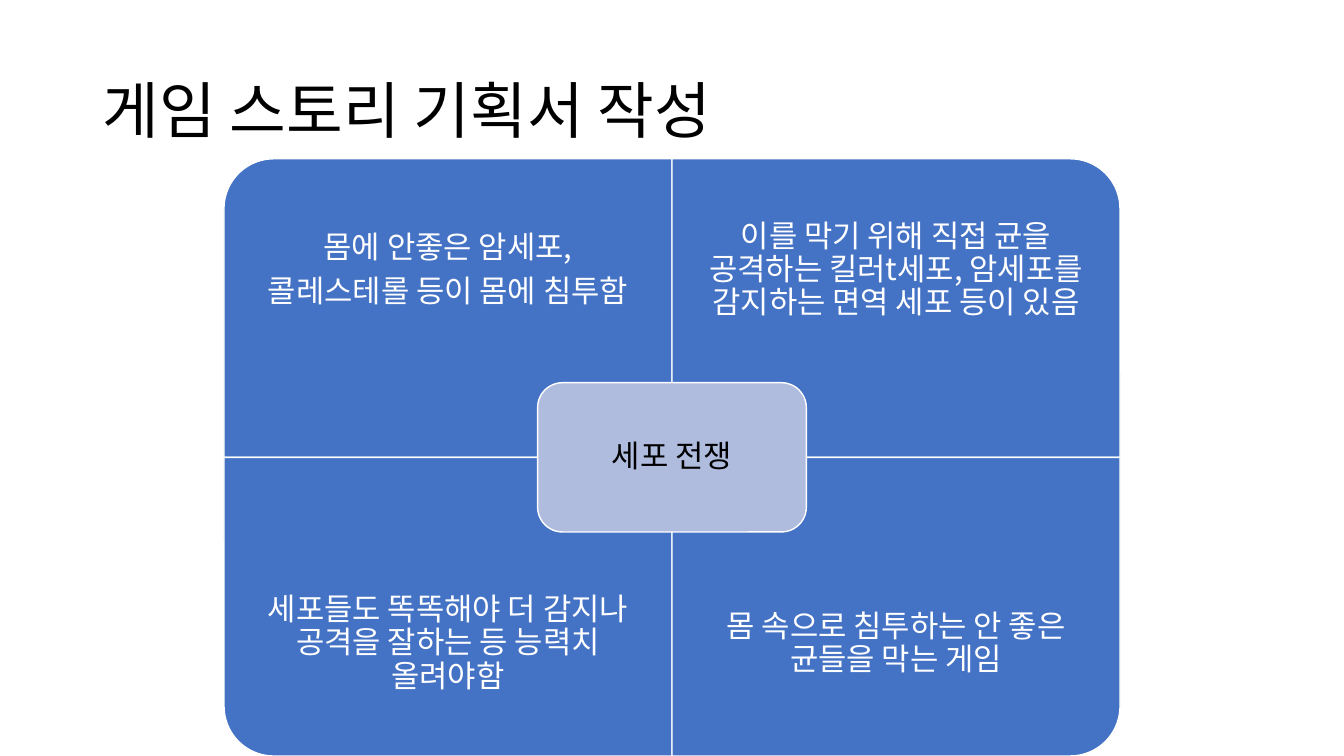
"""Builds the game story slide: a title above a four-part matrix with a central theme."""
from lxml import etree
from pptx import Presentation
from pptx.dml.color import RGBColor
from pptx.enum.shapes import MSO_SHAPE
from pptx.enum.text import MSO_ANCHOR, MSO_AUTO_SIZE, PP_ALIGN
from pptx.oxml.ns import qn
from pptx.util import Inches, Pt

QUADRANT = MSO_SHAPE.ROUND_1_RECTANGLE
CENTRE = MSO_SHAPE.ROUNDED_RECTANGLE
MIDDLE = MSO_ANCHOR.MIDDLE
NO_AUTOFIT = MSO_AUTO_SIZE.NONE
LEFT, CENTRED = PP_ALIGN.LEFT, PP_ALIGN.CENTER
FONT = "Noto Sans CJK KR"
BLUE, LAVENDER, WHITE, BLACK = "4472C4", "B0BCDE", "FFFFFF", "000000"


def write(frame, lines, size, colour, alignment, inset, space_after):
    frame.word_wrap = True
    frame.auto_size = NO_AUTOFIT
    frame.vertical_anchor = MIDDLE
    frame.margin_left = frame.margin_right = Inches(inset)
    frame.margin_top = frame.margin_bottom = Inches(inset)
    for index, line in enumerate(lines):
        paragraph = frame.add_paragraph() if index else frame.paragraphs[0]
        paragraph.alignment = alignment
        paragraph.line_spacing = 0.9
        paragraph.space_after = Pt(space_after)
        run = paragraph.add_run()
        run.text = line
        run.font.size = Pt(size)
        run.font.color.rgb = RGBColor.from_string(colour)
        run.font.name = FONT
        properties = run.font._element
        etree.SubElement(properties, qn("a:ea")).set("typeface", FONT)


def add_block(kind, left, top, width, height, colour):
    shape = slide.shapes.add_shape(kind, int(left), int(top), int(width), int(height))
    shape.shadow.inherit = False
    shape.fill.solid()
    shape.fill.fore_color.rgb = RGBColor.from_string(colour)
    shape.line.color.rgb = RGBColor.from_string(WHITE)
    shape.line.width = Pt(1)
    return shape


presentation = Presentation()
presentation.slide_width = Inches(13.333)
presentation.slide_height = Inches(7.5)
slide = presentation.slides.add_slide(presentation.slide_layouts[5])

title = slide.shapes.title
title.left, title.top = Inches(0.92), Inches(0.4)
title.width, title.height = Inches(11.5), Inches(1.45)
write(title.text_frame, ["게임 스토리 기획서 작성"], 44, BLACK, LEFT, 0.1, 0)

matrix_left = presentation.slide_width / 6
matrix_top = presentation.slide_height * 0.21
column = presentation.slide_width / 3
row = (presentation.slide_height - matrix_top) / 2
text_height = row * 0.75

quadrants = [
    (0, 0, 270, ["몸에 안좋은 암세포,", "콜레스테롤 등이 몸에 침투함"]),
    (1, 0, 0, ["이를 막기 위해 직접 균을 공격하는 킬러t세포, 암세포를 감지하는 면역 세포 등이 있음"]),
    (0, 1, 180, ["세포들도 똑똑해야 더 감지나 공격을 잘하는 등 능력치 올려야함"]),
    (1, 1, 90, ["몸 속으로 침투하는 안 좋은 균들을 막는 게임"]),
]
for column_index, row_index, rotation, lines in quadrants:
    left = matrix_left + column_index * column
    top = matrix_top + row_index * row
    width, height = (row, column) if rotation % 180 else (column, row)
    quadrant = add_block(QUADRANT, left + (column - width) / 2,
                         top + (row - height) / 2, width, height, BLUE)
    quadrant.rotation = rotation
    text_top = top + row_index * (row - text_height)
    label = slide.shapes.add_textbox(int(left), int(text_top), int(column), int(text_height))
    write(label.text_frame, lines, 22, WHITE, CENTRED, 0.17, 7.7)

theme_width, theme_height = column * 0.6, row / 2
theme = add_block(CENTRE, matrix_left + column - theme_width / 2,
                  matrix_top + row - theme_height / 2, theme_width, theme_height, LAVENDER)
write(theme.text_frame, ["세포 전쟁"], 22, BLACK, CENTRED, 0.09, 7.7)

presentation.save("out.pptx")
